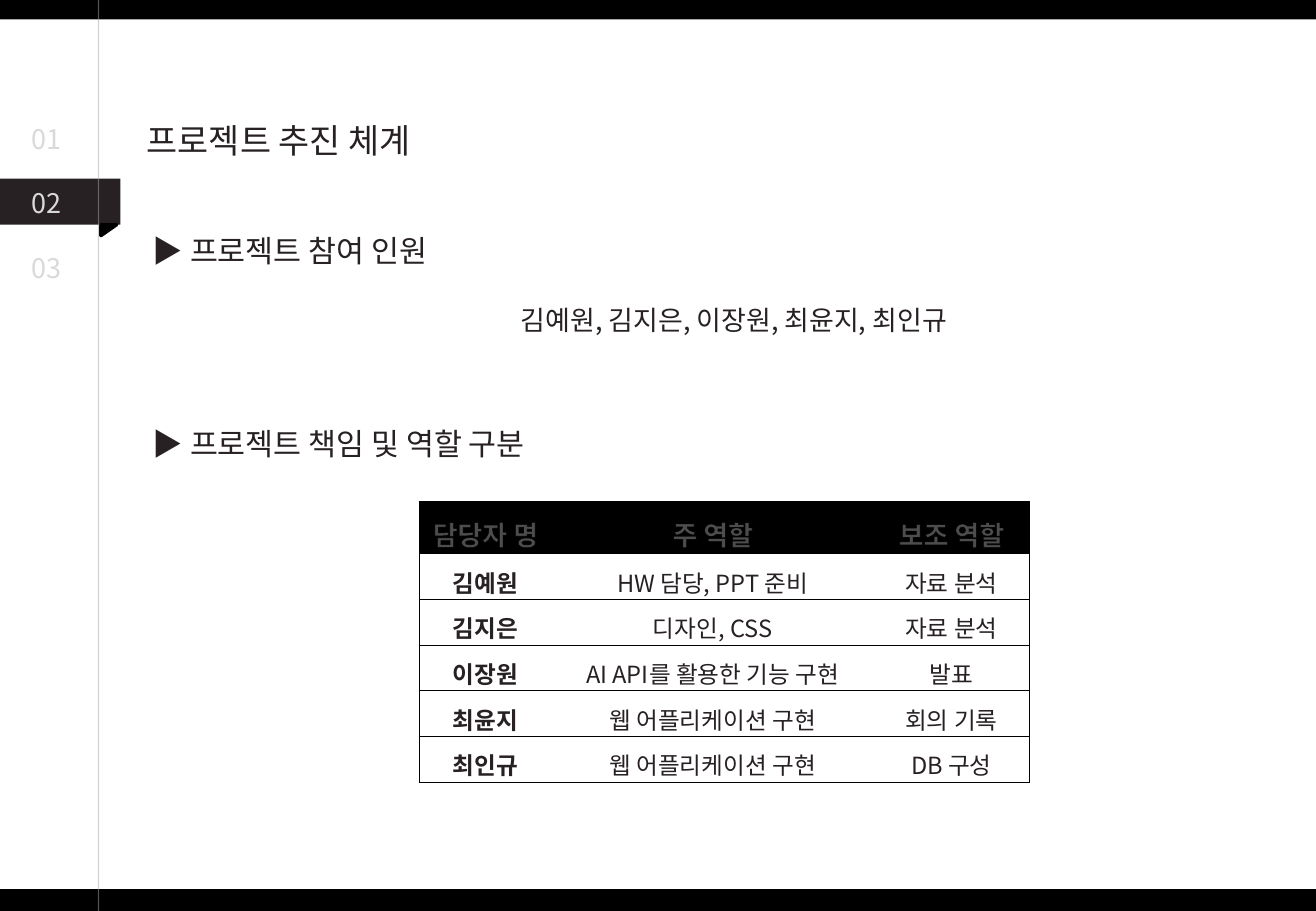
from lxml.etree import SubElement
from pptx import Presentation
from pptx.dml.color import RGBColor
from pptx.enum.shapes import MSO_CONNECTOR, MSO_SHAPE
from pptx.enum.text import MSO_ANCHOR, PP_ALIGN
from pptx.oxml import parse_xml
from pptx.oxml.ns import nsdecls, qn
from pptx.util import Inches, Pt

FONT = "Noto Sans CJK KR"
BLACK = RGBColor(0, 0, 0)
WHITE = RGBColor(0xFF, 0xFF, 0xFF)
INK = RGBColor(0x27, 0x21, 0x23)
PALE = RGBColor(0xD9, 0xD9, 0xD9)
GRAY = RGBColor(0xA6, 0xA6, 0xA6)
WIDTH, HEIGHT = 10.83, 7.5

ROLES = [
    ("담당자 명", "주 역할", "보조 역할"),
    ("김예원", "HW 담당, PPT 준비", "자료 분석"),
    ("김지은", "디자인, CSS", "자료 분석"),
    ("이장원", "AI API를 활용한 기능 구현", "발표"),
    ("최윤지", "웹 어플리케이션 구현", "회의 기록"),
    ("최인규", "웹 어플리케이션 구현", "DB 구성"),
]


def line_xml(tag, alpha=100):
    """Thin black line, used for text outlines and cell borders."""
    return parse_xml(
        f'<a:{tag} {nsdecls("a")} w="9525"><a:solidFill><a:srgbClr val="000000">'
        f'<a:alpha val="{alpha * 1000}"/></a:srgbClr></a:solidFill></a:{tag}>')


def style(p, size, color, bold=False, align=PP_ALIGN.LEFT):
    p.alignment = align
    font = p.font
    font.size, font.bold, font.name = Pt(size), bold, FONT
    font.color.rgb = color
    props = p._p.pPr.find(qn("a:defRPr"))
    props.insert(0, line_xml("ln", 30))
    SubElement(props, qn("a:ea")).set("typeface", FONT)


def add_text(slide, box, text, size, color=INK, align=PP_ALIGN.LEFT):
    sp = slide.shapes.add_textbox(*map(Inches, box))
    tf = sp.text_frame
    tf.word_wrap = True
    p = tf.paragraphs[0]
    p.text = text
    style(p, size, color, align=align)


def add_block(slide, box, color, shape=MSO_SHAPE.RECTANGLE):
    sp = slide.shapes.add_shape(shape, *map(Inches, box))
    sp.shadow.inherit = False
    sp.fill.solid()
    sp.fill.fore_color.rgb = color
    sp.line.fill.background()
    return sp


def add_bars(slide, thickness):
    for top in (-0.02, HEIGHT - thickness):
        add_block(slide, (0, top, WIDTH, thickness), BLACK)


def add_navigation(slide, left, top, width, step, current):
    # Ribbon with its fold behind the current number
    ribbon_top = top + step * current - 0.02
    add_block(slide, (left, ribbon_top, width + 0.18, 0.38), INK)
    fold = add_block(slide, (left + width + 0.04, ribbon_top + 0.36, 0.09, 0.13),
                     BLACK, MSO_SHAPE.RIGHT_TRIANGLE)
    fold.rotation = 90
    fold.line.color.rgb = BLACK
    fold.line.width = Pt(2)

    # Vertical rule
    x = Inches(left + width)
    rule = slide.shapes.add_connector(
        MSO_CONNECTOR.STRAIGHT, x, Inches(-0.41), x, Inches(7.77))
    rule.line.color.rgb = GRAY
    rule.line.width = Pt(0.75)
    props = rule._element.spPr
    SubElement(props.find(".//" + qn("a:srgbClr")), qn("a:alpha")).set("val", "50000")
    SubElement(props, qn("a:effectLst"))

    # Section numbers
    for i in range(3):
        add_text(slide, (left + 0.16, top + step * i, 0.53, 0.37),
                 f"{i + 1:02}", 16, PALE)


def set_borders(cell, visible):
    """Draw the named sides and clear the others, ahead of the cell fill."""
    props = cell._tc.get_or_add_tcPr()
    for i, side in enumerate("LRTB"):
        if side in visible:
            border = line_xml(f"ln{side}")
        else:
            border = parse_xml(f'<a:ln{side} {nsdecls("a")}><a:noFill/></a:ln{side}>')
        props.insert(i, border)


def add_roles_table(slide, left, top, width, height):
    rows, cols = len(ROLES), len(ROLES[0])
    table = slide.shapes.add_table(
        rows, cols, *map(Inches, (left, top, width, height))).table
    for col, share in zip(table.columns, (1.09, 2.65, 1.28)):
        col.width = Inches(width * share / 5.02)
    head = 0.43
    for i, row in enumerate(table.rows):
        row.height = Inches(head if i == 0 else (height - head) / (rows - 1))

    for i, names in enumerate(ROLES):
        for j, text in enumerate(names):
            cell = table.cell(i, j)
            cell.fill.solid()
            cell.fill.fore_color.rgb = WHITE if i else BLACK
            set_borders(cell, "TB" + {0: "L", cols - 1: "R"}.get(j, ""))
            cell.vertical_anchor = MSO_ANCHOR.MIDDLE
            cell.margin_left = cell.margin_right = Inches(0.07)
            cell.margin_top = cell.margin_bottom = 0
            p = cell.text_frame.paragraphs[0]
            p.text = text
            p.line_spacing = 1.3
            p.space_after = Pt(8)
            style(p, 14 if i else 16, INK if i else WHITE,
                  bold=i == 0 or j == 0, align=PP_ALIGN.CENTER)


def add_content(slide, left, top):
    add_text(slide, (left, top, 2.42, 0.44), "프로젝트 추진 체계", 20)
    add_text(slide, (left + 0.05, top + 0.92, 2.6, 0.4), "▶ 프로젝트 참여 인원", 18)
    members = ", ".join(row[0] for row in ROLES[1:])
    add_text(slide, (left + 0.96, top + 1.51, 7.94, 0.37), members, 16,
             align=PP_ALIGN.CENTER)
    add_text(slide, (left + 0.05, top + 2.51, 3.54, 0.4),
             "▶ 프로젝트 책임 및 역할 구분", 18)
    add_roles_table(slide, left + 2.34, top + 3.19, 5.02, 2.31)


prs = Presentation()
prs.slide_width, prs.slide_height = Inches(WIDTH), Inches(HEIGHT)
slide = prs.slides.add_slide(prs.slide_layouts[6])
add_bars(slide, 0.18)
add_content(slide, 1.11, 0.94)
add_navigation(slide, 0, 0.96, 0.81, 0.53, current=1)
prs.save("out.pptx")
